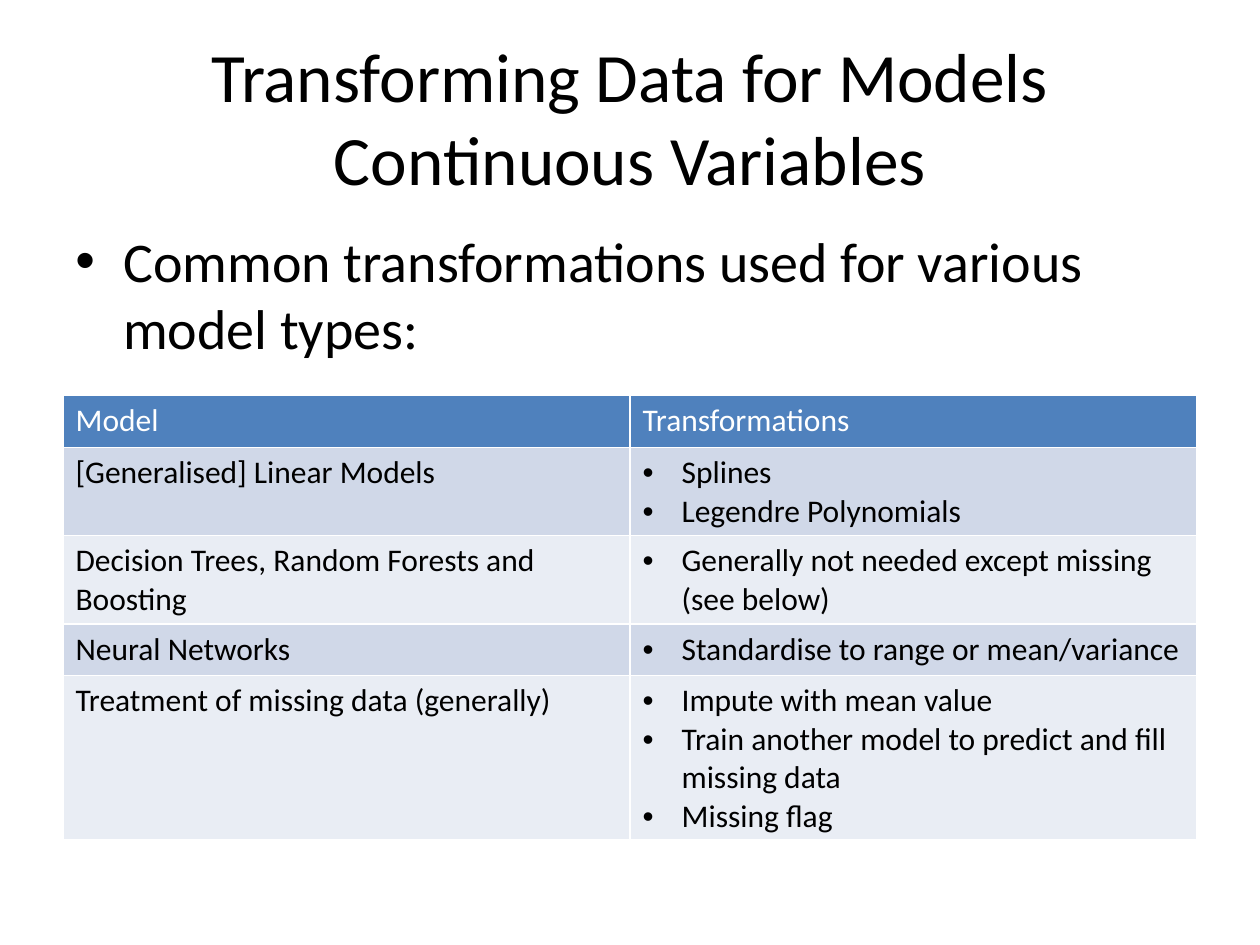
from lxml.etree import SubElement
from pptx import Presentation
from pptx.dml.color import RGBColor
from pptx.enum.text import MSO_ANCHOR, MSO_AUTO_SIZE, PP_ALIGN
from pptx.oxml.ns import qn
from pptx.util import Inches, Pt

FONT = "Calibri"
BLACK, WHITE = "000000", "FFFFFF"
HEADER_FILL = "4F81BD"
BAND_FILLS = ("D0D8E8", "E9EDF4")
HEADERS = ("Model", "Transformations")
MODELS = (
    ("[Generalised] Linear Models", ("Splines", "Legendre Polynomials")),
    ("Decision Trees, Random Forests and Boosting",
     ("Generally not needed except missing (see below)",)),
    ("Neural Networks", ("Standardise to range or mean/variance",)),
    ("Treatment of missing data (generally)",
     ("Impute with mean value",
      "Train another model to predict and fill missing data",
      "Missing flag")),
)


def color(value):
    return RGBColor.from_string(value)


def style_paragraph(paragraph, size, font_color=BLACK):
    paragraph.font.name = FONT
    paragraph.font.size = Pt(size)
    paragraph.font.bold = False
    paragraph.font.color.rgb = color(font_color)


def add_bullet(paragraph, indent):
    properties = paragraph._p.get_or_add_pPr()
    properties.set("marL", str(Inches(indent)))
    properties.set("indent", str(-Inches(indent)))
    bullet_font = SubElement(properties, qn("a:buFont"))
    bullet_font.set("typeface", "Arial")
    SubElement(properties, qn("a:buChar")).set("char", "•")
    default_run = properties.find(qn("a:defRPr"))
    if default_run is not None:
        properties.append(default_run)


def format_title(title, text):
    title.left, title.top = Inches(0.5), Inches(0.3)
    title.width, title.height = Inches(9), Inches(1.25)
    frame = title.text_frame
    frame.text = text
    frame.auto_size = MSO_AUTO_SIZE.NONE
    frame.vertical_anchor = MSO_ANCHOR.MIDDLE
    paragraph = frame.paragraphs[0]
    paragraph.alignment = PP_ALIGN.CENTER
    style_paragraph(paragraph, 39.6)


def add_body(slide, text):
    shape = slide.shapes.add_textbox(Inches(0.5), Inches(1.75), Inches(9), Inches(4.95))
    frame = shape.text_frame
    frame.word_wrap = True
    frame.text = text
    paragraph = frame.paragraphs[0]
    paragraph.space_before = Pt(6.4)
    style_paragraph(paragraph, 32)
    add_bullet(paragraph, 0.38)


def fill_cell(cell, lines, fill, font_color=BLACK, bulleted=False):
    cell.fill.solid()
    cell.fill.fore_color.rgb = color(fill)
    cell.text = "\n".join(lines)
    for paragraph in cell.text_frame.paragraphs:
        style_paragraph(paragraph, 18, font_color)
        if bulleted:
            add_bullet(paragraph, 0.31)


def add_model_table(slide):
    row_count = len(MODELS) + 1
    row_height = Inches(0.41)
    table = slide.shapes.add_table(
        row_count, len(HEADERS), Inches(0.5), Inches(3.14), Inches(9), row_height * row_count
    ).table
    for column, header in enumerate(HEADERS):
        fill_cell(table.cell(0, column), [header], HEADER_FILL, WHITE)
    for row, (model, transformations) in enumerate(MODELS, start=1):
        fill = BAND_FILLS[(row - 1) % 2]
        fill_cell(table.cell(row, 0), [model], fill)
        fill_cell(table.cell(row, 1), transformations, fill, bulleted=True)


def main():
    presentation = Presentation()
    presentation.slide_width, presentation.slide_height = Inches(10), Inches(7.5)
    slide = presentation.slides.add_slide(presentation.slide_layouts[5])
    format_title(slide.shapes.title, "Transforming Data for Models\vContinuous Variables")
    add_body(slide, "Common transformations used for various model types:")
    add_model_table(slide)
    presentation.save("out.pptx")


if __name__ == "__main__":
    main()
